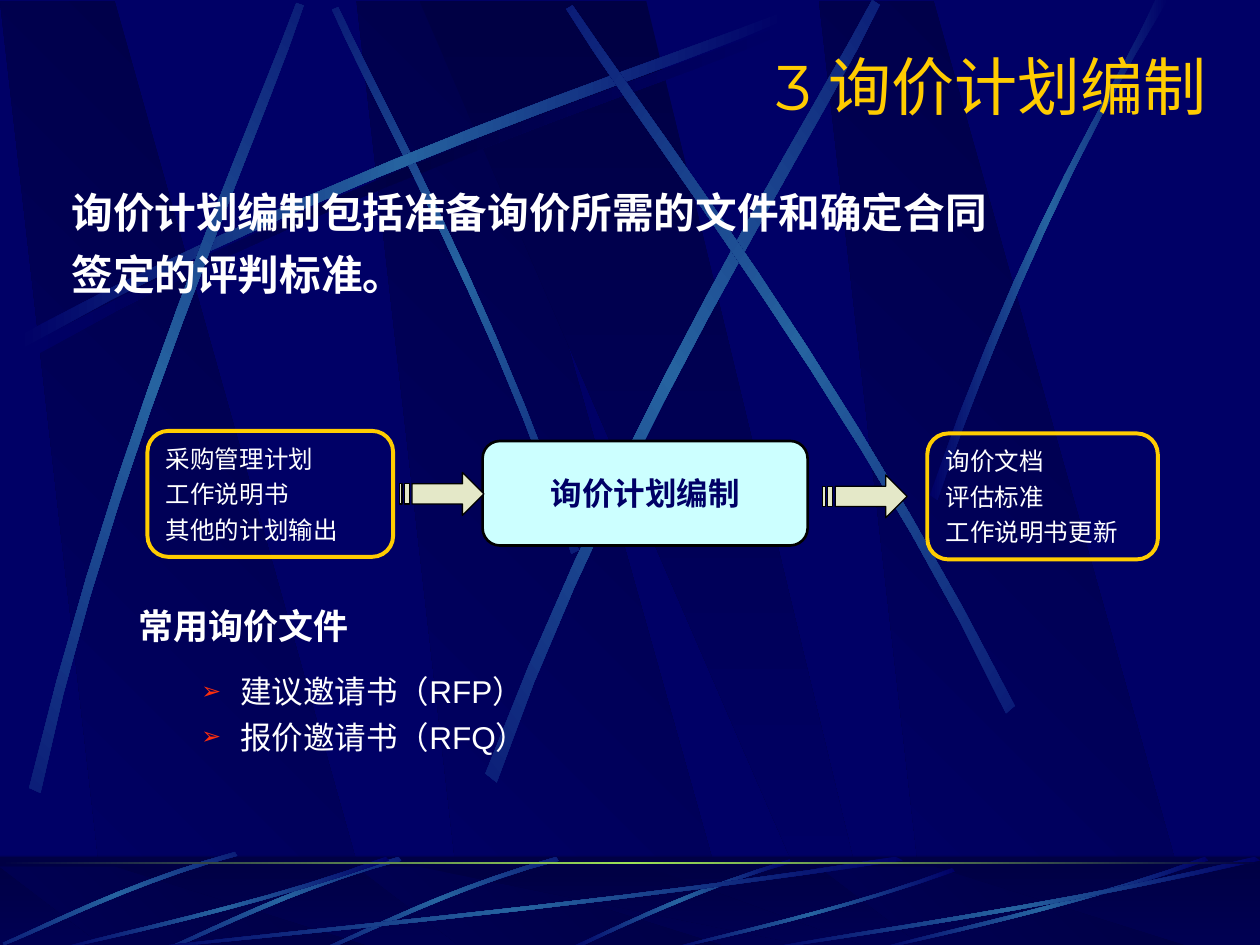
from dataclasses import dataclass
from math import cos, radians, sin

from lxml.etree import SubElement
from pptx import Presentation
from pptx.dml.color import RGBColor
from pptx.enum.shapes import MSO_SHAPE
from pptx.enum.text import MSO_ANCHOR, PP_ALIGN
from pptx.oxml.ns import qn
from pptx.util import Cm, Pt


@dataclass(frozen=True)
class Theme:
    navy: str = "000066"
    deep: str = "000044"
    beam: str = "2663A0"
    glow: str = "9CE157"
    gold: str = "FFCC00"
    white: str = "FFFFFF"
    black: str = "000000"
    ice: str = "CCFFFF"
    arrow: str = "E4E8C8"
    bullet: str = "FD2F0D"
    font: str = "Arial"
    title_font: str = "Montserrat"
    title: float = 36
    lead: float = 23.8
    heading: float = 20
    item: float = 18
    note: float = 14


def rgb(value):
    return RGBColor.from_string(value)


def grid(*values):
    """Turn lengths on the 10 by 7.5 slide grid into Cm lengths."""
    return [Cm(v * 2.54) for v in values]


def bezier(a, b, c, d, steps=10):
    for i in range(steps + 1):
        t = i / steps
        u = 1 - t
        yield tuple(u**3 * a[k] + 3 * u * u * t * b[k] + 3 * u * t * t * c[k] + t**3 * d[k]
                    for k in (0, 1))


def turn(point, centre, degrees):
    a = radians(degrees)
    x, y = point[0] - centre[0], point[1] - centre[1]
    return centre[0] + x * cos(a) - y * sin(a), centre[1] + x * sin(a) + y * cos(a)


class Deck:
    def __init__(self, theme):
        self.theme = theme
        self.prs = Presentation()
        self.prs.slide_width, self.prs.slide_height = grid(10, 7.5)
        self.s = self.prs.slides.add_slide(self.prs.slide_layouts[6])
        fill = self.s.background.fill
        fill.solid()
        fill.fore_color.rgb = rgb(theme.navy)

    def paint(self, sp, fill=None, line=None, width=1):
        sp.shadow.inherit = False
        if fill:
            sp.fill.solid()
            sp.fill.fore_color.rgb = rgb(fill)
        else:
            sp.fill.background()
        if line:
            sp.line.color.rgb = rgb(line)
            sp.line.width = Pt(width)
        else:
            sp.line.fill.background()
        return sp

    def gradient(self, sp, colors, clockwise):
        """Fill with evenly spaced colour stops."""
        self.paint(sp)
        sp.fill.gradient()
        sp.fill.gradient_angle = (360 - clockwise) % 360
        stops = sp._element.spPr.find(qn("a:gradFill")).find(qn("a:gsLst"))
        for gs in list(stops):
            stops.remove(gs)
        for i, color in enumerate(colors):
            gs = SubElement(stops, qn("a:gs"), pos=str(100000 * i // (len(colors) - 1)))
            SubElement(gs, qn("a:srgbClr"), val=color)

    def shape(self, kind, box, **style):
        return self.paint(self.s.shapes.add_shape(kind, *grid(*box)), **style)

    def outline(self, *contours):
        first, *rest = [[grid(*p) for p in c] for c in contours]
        fb = self.s.shapes.build_freeform(*first[0], scale=1.0)
        fb.add_line_segments(first[1:])
        for contour in rest:
            fb.move_to(*contour[0])
            fb.add_line_segments(contour[1:])
        return fb.convert_to_shape()

    def streak(self, points, angle=0, centre=(0, 0), middle=None):
        """Draw a curved beam from two four-point Bezier edges."""
        edge = [*bezier(*points[:4]), *bezier(*points[4:])]
        sp = self.outline([turn(p, centre, -angle) for p in edge])
        self.gradient(sp, [self.theme.navy, middle or self.theme.beam, self.theme.navy], 180)
        sp.rotation = angle

    def bands(self, top, height):
        """Draw the slanted dark bands over one strip of the slide."""
        shades = self.theme.deep, self.theme.navy
        bottom = top + height
        for x in (2.83, 0, 6.5):
            sp = self.outline([(x + 0.86, bottom), (x + 3.02, bottom), (x + 0.91, top), (x, top)])
            self.gradient(sp, shades, 135)
        sp = self.outline([(3.33, top), (6.58, bottom), (6.94, bottom), (5.13, top)])
        self.gradient(sp, shades, 90)

    def striped_arrow(self, x, y):
        def bar(left, right):
            return [(x + left, y - 0.08), (x + right, y - 0.08),
                    (x + right, y + 0.08), (x + left, y + 0.08), (x + left, y - 0.08)]

        head = [(0.1, -0.08), (0.5, -0.08), (0.5, -0.17), (0.67, 0),
                (0.5, 0.17), (0.5, 0.08), (0.1, 0.08), (0.1, -0.08)]
        sp = self.outline([(x + dx, y + dy) for dx, dy in head], bar(0, 0.02), bar(0.04, 0.08))
        self.paint(sp, self.theme.arrow, self.theme.black, 0.75)

    def textbox(self, box):
        return self.s.shapes.add_textbox(*grid(*box))

    def add_text(self, sp, lines, size, color=None, bold=False, font=None, before=0,
                 align=PP_ALIGN.LEFT, anchor=MSO_ANCHOR.TOP):
        tf = sp.text_frame
        tf.word_wrap = True
        tf.vertical_anchor = anchor
        for line in lines:
            p = tf.add_paragraph() if tf.paragraphs[0].runs else tf.paragraphs[0]
            p.alignment = align
            p.space_before = Pt(before)
            r = p.add_run()
            r.text = line
            r.font.size = Pt(size)
            r.font.bold = bold
            r.font.name = font or self.theme.font
            r.font.color.rgb = rgb(color or self.theme.white)
        return tf.paragraphs

    def bullet(self, p):
        p.level = 1
        pPr = p._p.get_or_add_pPr()
        pPr.set("marL", str(grid(0.81)[0]))
        pPr.set("indent", str(grid(-0.31)[0]))
        SubElement(SubElement(pPr, qn("a:buClr")), qn("a:srgbClr"), val=self.theme.bullet)
        SubElement(pPr, qn("a:buSzPct"), val="75000")
        SubElement(pPr, qn("a:buFont"), typeface=self.theme.font)
        SubElement(pPr, qn("a:buChar"), char="➢")


def draw_backdrop(deck):
    t = deck.theme
    deck.bands(0.01, 7.51)
    deck.streak([(0.2, 2.75), (2.84, 1.34), (5.24, 0.59), (6.26, 0.18),
                 (6.29, 0.24), (5.28, 0.69), (2.54, 1.51), (0.23, 2.85)], middle=t.deep)
    for angle, centre, points in (
        (45, (3.62, 2.23), [(4.6, 4.36), (3.91, 2.34), (3.02, 0.77), (2.69, 0.05),
                            (2.64, 0.07), (2.95, 0.79), (3.98, 2.58), (4.54, 4.39)]),
        (0, (0, 0), [(0.14, 2.67), (2.78, 1.25), (5.18, 0.51), (6.2, 0.1),
                     (6.23, 0.16), (5.22, 0.61), (2.48, 1.43), (0.17, 2.77)]),
        (311.7, (1.33, 3.16), [(0.23, 6.25), (0.93, 3.34), (1.97, 1.05), (2.35, 0.02),
                               (2.41, 0.04), (2.07, 1.08), (0.86, 3.68), (0.32, 6.29)]),
        (321.6, (5.43, 3.11), [(3.85, 6.14), (4.98, 3.2), (6.38, 1.02), (6.92, 0),
                               (6.98, 0.04), (6.49, 1.08), (4.86, 3.55), (3.94, 6.21)]),
        (34.8, (6.27, 2.86), [(8.06, 5.6), (6.7, 2.93), (5.16, 0.95), (4.55, 0.04),
                              (4.5, 0.07), (5.07, 1.01), (6.85, 3.25), (7.99, 5.66)]),
        (0, (0, 0), [(7.38, 3.93), (8.14, 1.73), (8.88, 0.66), (9.17, 0),
                     (9.27, 0), (8.36, 1.45), (7.69, 3.22), (7.44, 3.97)]),
    ):
        deck.streak(points, angle, centre)


def draw_footer(deck):
    t = deck.theme
    deck.gradient(deck.shape(MSO_SHAPE.RECTANGLE, (0, 6.8, 10, 0.75)), [t.deep, t.navy], 90)
    deck.bands(6.88, 0.66)
    veil = deck.shape(MSO_SHAPE.RECTANGLE, (0, 6.79, 10, 0.75), fill=t.deep)
    color = veil._element.spPr.find(qn("a:solidFill"))[0]
    SubElement(color, qn("a:alpha"), val="50000")
    deck.streak([(6.27, 6.82), (5.37, 7.09), (4.77, 7.42), (4.48, 7.54),
                 (4.53, 7.55), (4.9, 7.37), (5.71, 7), (6.28, 6.85)])
    tilted = [(1.86, 0), (0.99, 0.24), (0.33, 0.59), (0.02, 0.72),
              (0.03, 0.74), (0.34, 0.62), (1.1, 0.23), (1.88, 0.03)]
    for dx, dy in ((2.55, 6.8), (1.3, 6.8), (0, 6.76)):
        deck.streak([(x + dx, y + dy) for x, y in tilted], 314.9, (dx + 0.95, dy + 0.38))
    sweep = [(1, 0.04), (0.57, 0.57), (0.17, 0.86), (0, 1),
             (0, 0.99), (0.16, 0.81), (0.61, 0.51), (0.99, 0)]
    for left, top, width in ((1, 6.8, 6.17), (0.42, 6.8, 2.67), (5.27, 6.89, 2.31),
                             (6.92, 6.8, 2.67), (6, 6.8, 4)):
        deck.streak([(left + x * width, top + y * (7.55 - top)) for x, y in sweep])
    rule = deck.shape(MSO_SHAPE.RECTANGLE, (0, 6.84, 10, 0.02))
    deck.gradient(rule, [t.deep, t.glow, t.deep], 180)


def draw_content(deck):
    t = deck.theme
    middle = MSO_ANCHOR.MIDDLE
    deck.add_text(deck.textbox((1.17, 0.33, 8.5, 0.7)), ["3 询价计划编制"], t.title, t.gold,
                  font=t.title_font, align=PP_ALIGN.RIGHT, anchor=middle)
    deck.add_text(deck.textbox((0.47, 1.43, 9.1, 1.02)),
                  ["询价计划编制包括准备询价所需的文件和确定合同", "签定的评判标准。"],
                  t.lead, bold=True, before=7)
    for box, lines in (
        ((1.17, 3.42, 1.95, 1), ["采购管理计划", "工作说明书", "其他的计划输出"]),
        ((7.36, 3.44, 1.83, 1), ["询价文档", "评估标准", "工作说明书更新"]),
    ):
        sp = deck.shape(MSO_SHAPE.ROUNDED_RECTANGLE, box, line=t.gold, width=2.25)
        deck.add_text(sp, lines, t.note, before=3.5, anchor=middle)
    process = deck.shape(MSO_SHAPE.FLOWCHART_ALTERNATE_PROCESS, (3.83, 3.5, 2.58, 0.83),
                         fill=t.ice, line=t.black, width=1.5)
    deck.add_text(process, ["询价计划编制"], t.item, t.navy, bold=True, before=4.5,
                  align=PP_ALIGN.CENTER, anchor=middle)
    deck.striped_arrow(3.17, 3.92)
    deck.striped_arrow(6.53, 3.94)

    documents = deck.textbox((1, 4.75, 8.75, 1.42))
    deck.add_text(documents, ["常用询价文件"], t.heading, bold=True, before=5)
    items = deck.add_text(documents, ["建议邀请书（RFP）", "报价邀请书（RFQ）"],
                          t.item, before=4.5)[1:]
    for p in items:
        deck.bullet(p)
    items[0].space_before = Pt(14.5)


def main():
    deck = Deck(Theme())
    draw_backdrop(deck)
    draw_footer(deck)
    draw_content(deck)
    deck.prs.save("out.pptx")


if __name__ == "__main__":
    main()
